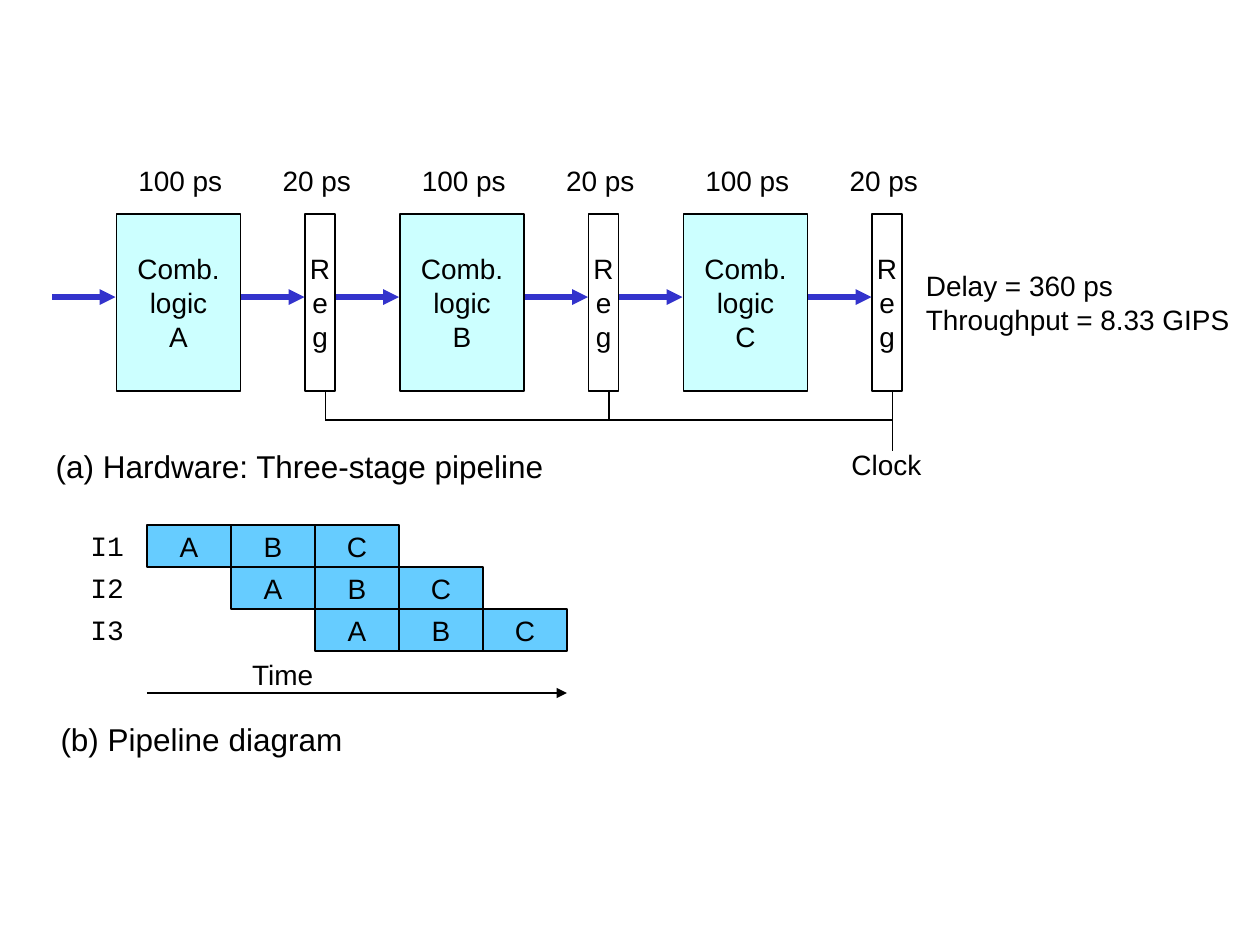
"""Build a slide showing a three-stage pipeline and its timing diagram."""
from lxml.etree import SubElement
from pptx import Presentation
from pptx.dml.color import RGBColor
from pptx.enum.shapes import MSO_CONNECTOR as CONN, MSO_SHAPE as SHAPE
from pptx.enum.text import MSO_ANCHOR as ANCHOR, MSO_AUTO_SIZE as AUTO, PP_ALIGN as ALIGN
from pptx.oxml.ns import qn
from pptx.util import Pt

rgb = RGBColor.from_string


def add_text(shapes, text, x, y, w, h, size=16, align=ALIGN.CENTER,
             font="Arial", fill=None, line=None):
    pos = Pt(x), Pt(y), Pt(w), Pt(h)
    if fill:
        sp = shapes.add_shape(SHAPE.RECTANGLE, *pos)
        sp.shadow.inherit = False
        sp.fill.solid()
        sp.fill.fore_color.rgb = rgb(fill)
        if line:
            sp.line.color.rgb = rgb("000000")
            sp.line.width = Pt(line)
        else:
            sp.line.fill.background()
    else:
        sp = shapes.add_textbox(*pos)
    tf = sp.text_frame
    tf.text = text
    tf.word_wrap = False
    tf.auto_size = AUTO.NONE
    tf.vertical_anchor = ANCHOR.MIDDLE if fill else ANCHOR.TOP
    for p in tf.paragraphs:
        p.alignment = align
        for r in p.runs:
            r.font.name = font
            r.font.size = Pt(size)
            r.font.color.rgb = rgb("000000")


def add_line(x1, y1, x2, y2, color="000000", width=1, arrow=False):
    cn = s.shapes.add_connector(CONN.STRAIGHT, Pt(x1), Pt(y1), Pt(x2), Pt(y2))
    cn.line.color.rgb = rgb(color)
    cn.line.width = Pt(width)
    sp_pr = cn._element.spPr
    if arrow:
        SubElement(sp_pr.find(qn("a:ln")), qn("a:tailEnd"), type="triangle")
    SubElement(sp_pr, qn("a:effectLst"))


prs = Presentation()
prs.slide_width, prs.slide_height = Pt(720), Pt(540)
s = prs.slides.add_slide(prs.slide_layouts[6])

stage_pitch, top, height, flow_y, bus_y = 162, 122.25, 101, 169.75, 240
for i, name in enumerate("ABC"):
    x = 66 + i * stage_pitch
    reg_x, tap_x = x + 108, x + 120
    add_text(s.shapes, "100 ps", x + 5, 90, 64, 26)
    add_text(s.shapes, "20 ps", x + 87, 90, 56, 26)
    add_text(s.shapes, f"Comb.\nlogic\n{name}", x + 0.5, top, 71, height, fill="CCFFFF", line=1)
    add_text(s.shapes, "R\ne\ng", reg_x + 0.25, top, 17.25, height, fill="FFFFFF", line=1)
    for end in (x, reg_x):
        add_line(end - 36, flow_y, end, flow_y, "3333CC", 3, arrow=True)
    add_line(tap_x, 224, tap_x, 258 if name == "C" else bus_y)
add_line(186, bus_y, 186 + 2 * stage_pitch, bus_y)
add_text(s.shapes, "Clock", 478, 252, 57, 26)
add_text(s.shapes, "Delay = 360 ps\nThroughput = 8.33 GIPS", 522, 150, 190, 45, align=ALIGN.LEFT)
add_text(s.shapes, "(a) Hardware: Three-stage pipeline", 24.75, 252, 296, 29, 18, ALIGN.LEFT)

cell_w, cell_h = 48, 24
for row in range(3):
    y = 300 + row * cell_h
    add_text(s.shapes, f"I{row + 1}", 12, y - 0.25, 66, cell_h, align=ALIGN.RIGHT,
             font="Courier New", fill="FFFFFF")
    group = s.shapes.add_group_shape()
    for col, name in enumerate("ABC", start=row):
        add_text(group.shapes, name, 84 + col * cell_w, y, cell_w, cell_h,
                 fill="66CCFF", line=0.75)
add_line(84, 396, 324, 396, arrow=True)
add_text(s.shapes, "Time", 137, 372, 52, 26, align=ALIGN.LEFT)
add_text(s.shapes, "(b) Pipeline diagram", 27.5, 408, 179, 29, 18, ALIGN.LEFT)

prs.save("out.pptx")
